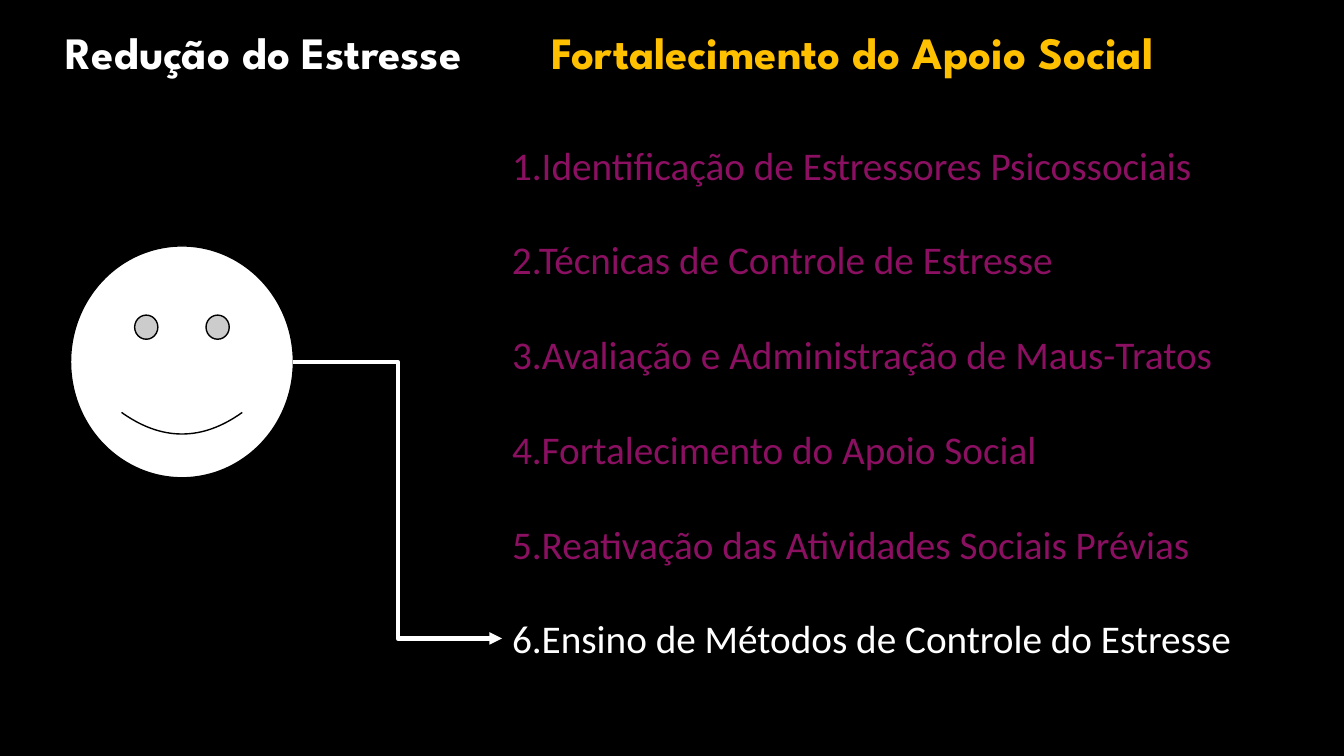
from lxml import etree
from pptx import Presentation, util as u
from pptx.dml.color import RGBColor
from pptx.enum import shapes, text
from pptx.oxml.ns import qn

COLORS = {"black": "000000", "white": "FFFFFF", "gold": "FFC000", "plum": "8B1062"}


def write(frame, content, *, font, size, color, bold=False):
    """Put one formatted line of text into a frame."""
    run = frame.paragraphs[0].add_run()
    run.text = content
    run.font.name, run.font.size, run.font.bold = font, u.Pt(size), bold
    run.font.color.rgb = RGBColor.from_string(COLORS[color])


class Board:
    """Current slide and its style; all lengths are percent of its size."""
    heading = {"font": "League Spartan", "size": 32, "bold": True}
    item = {"font": "Calibri", "size": 28}

    def __init__(self, deck):
        self.width, self.height = deck.slide_width, deck.slide_height
        self.slide = deck.slides.add_slide(deck.slide_layouts[6])
        self.paint(self.slide.background.fill, "black")

    def paint(self, fill, color):
        fill.solid()
        fill.fore_color.rgb = RGBColor.from_string(COLORS[color])

    def place(self, *shares):
        sides = (self.width, self.height) * 2
        return [round(share * side / 100) for share, side in zip(shares, sides)]

    def label(self, content, area, color, style):
        frame = self.slide.shapes.add_textbox(*self.place(*area)).text_frame
        frame.word_wrap = False
        frame.auto_size = text.MSO_AUTO_SIZE.SHAPE_TO_FIT_TEXT
        write(frame, content, color=color, **style)

    def face(self, area):
        smiley = self.slide.shapes.add_shape(
            shapes.MSO_SHAPE.SMILEY_FACE, *self.place(*area))
        smiley.shadow.inherit = False
        self.paint(smiley.fill, "white")
        self.paint(smiley.line.fill, "black")
        smiley.line.width = u.Pt(1)

    def elbow_arrow(self, start, end):
        arrow = self.slide.shapes.add_connector(
            shapes.MSO_CONNECTOR.ELBOW, *self.place(*start, *end))
        self.paint(arrow.line.fill, "white")
        arrow.line.width = u.Pt(3)
        line = arrow.line._get_or_add_ln()
        etree.SubElement(line, qn("a:tailEnd"), type="triangle")
        etree.SubElement(arrow._element.spPr, qn("a:effectLst"))


def main():
    deck = Presentation()
    deck.slide_width, deck.slide_height = u.Inches(13.33), u.Inches(7.5)
    board = Board(deck)

    # Headings
    board.label("Redução do Estresse", (4.13, 2.67, 35.41, 8.53), "white", board.heading)
    board.label("Fortalecimento do Apoio Social", (40.29, 2.67, 52.96, 8.53),
                "gold", board.heading)

    # Numbered techniques, the last one highlighted
    techniques = [
        ("Identificação de Estressores Psicossociais", 53.49),
        ("Técnicas de Controle de Estresse", 43.66),
        ("Avaliação e Administração de Maus-Tratos", 55.66),
        ("Fortalecimento do Apoio Social", 41.79),
        ("Reativação das Atividades Sociais Prévias", 52.51),
        ("Ensino de Métodos de Controle do Estresse", 56.41),
    ]
    list_left, list_top, row_pitch, row_height = 37.36, 18, 12.53, 7.6
    for number, (technique, width) in enumerate(techniques, 1):
        row_top = list_top + (number - 1) * row_pitch
        color = "white" if number == len(techniques) else "plum"
        board.label(f"{number}.{technique}", (list_left, row_top, width, row_height),
                    color, board.item)

    # Face and the arrow from it to the current technique
    face_left, face_top, face_width, face_height = 5.25, 32.53, 16.58, 30.67
    board.face((face_left, face_top, face_width, face_height))
    board.elbow_arrow((face_left + face_width, face_top + face_height / 2),
                      (list_left, row_top + row_height / 2))

    deck.save("out.pptx")


if __name__ == "__main__":
    main()
